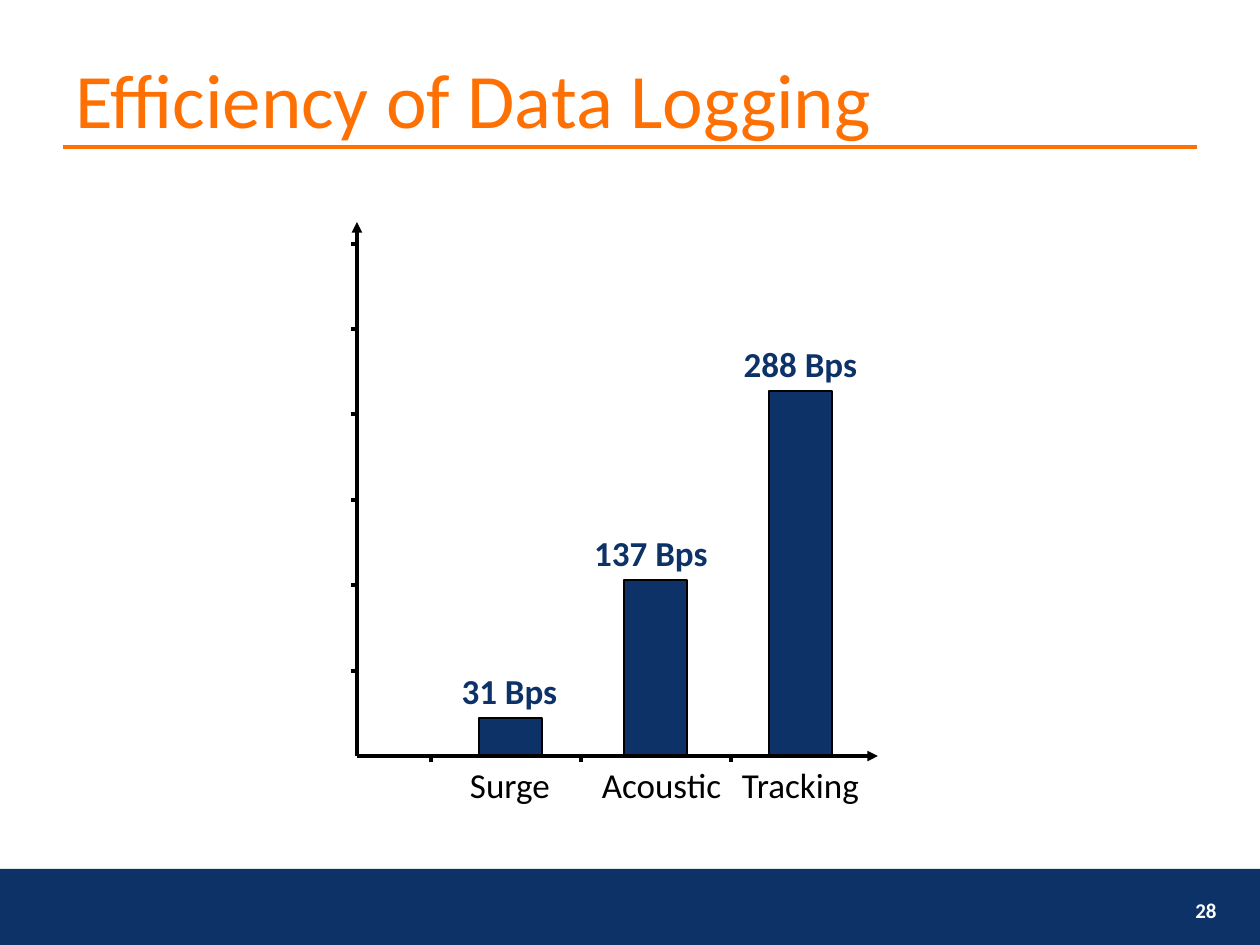
from dataclasses import dataclass

from lxml.etree import SubElement
from pptx import Presentation
from pptx.dml.color import RGBColor
from pptx.enum.shapes import MSO_CONNECTOR, MSO_SHAPE
from pptx.enum.text import MSO_ANCHOR as Anchor, PP_ALIGN as Align
from pptx.oxml.ns import qn
from pptx.util import Emu, Pt

PX = 914400 / 126  # EMU per pixel
WIDTH, HEIGHT = 1260, 945


@dataclass(frozen=True)
class Theme:
    font: str = "Calibri"
    navy: str = "0D3268"
    orange: str = "FF7003"
    black: str = "000000"
    white: str = "FFFFFF"
    title_size: int = 44
    label_size: int = 20
    number_size: int = 12
    line_width: float = 2
    bar_outline: float = 0.88


def px(*lengths):
    """Turn pixel lengths into EMU."""
    return [Emu(round(length * PX)) for length in lengths]


class SlideBuilder:
    def __init__(self, slide, theme):
        self.shapes = slide.shapes
        self.theme = theme

    def rectangle(self, left, top, width, height, outline=None):
        shape = self.shapes.add_shape(MSO_SHAPE.RECTANGLE, *px(left, top, width, height))
        shape.shadow.inherit = False
        shape.fill.solid()
        shape.fill.fore_color.rgb = RGBColor.from_string(self.theme.navy)
        if outline:
            shape.line.color.rgb = RGBColor.from_string(outline)
            shape.line.width = Pt(self.theme.bar_outline)
        else:
            shape.line.fill.background()

    def line(self, x1, y1, x2, y2, color, arrow=False):
        """Draw a straight line, with an arrowhead at its end if asked."""
        connector = self.shapes.add_connector(MSO_CONNECTOR.STRAIGHT, *px(x1, y1, x2, y2))
        connector.line.color.rgb = RGBColor.from_string(color)
        connector.line.width = Pt(self.theme.line_width)
        if arrow:
            SubElement(connector.line._get_or_add_ln(), qn("a:tailEnd"), type="triangle")
        SubElement(connector._element.spPr, qn("a:effectLst"))

    def text(self, words, left, top, width, height, size, color,
             bold=False, align=Align.CENTER, anchor=Anchor.TOP):
        frame = self.shapes.add_textbox(*px(left, top, width, height)).text_frame
        frame.word_wrap = True
        frame.vertical_anchor = anchor
        paragraph = frame.paragraphs[0]
        paragraph.alignment = align
        run = paragraph.add_run()
        run.text = words
        run.font.name = self.theme.font
        run.font.size = Pt(size)
        run.font.bold = bold
        run.font.color.rgb = RGBColor.from_string(color)


def draw_frame(builder):
    theme = builder.theme
    builder.rectangle(0, 869, WIDTH, 76)
    builder.line(63, 147, 1197, 147, theme.orange)
    builder.text("Efficiency of Data Logging", 63, 38, 1134, 120, theme.title_size,
                 theme.orange, align=Align.LEFT, anchor=Anchor.MIDDLE)
    builder.text("28", 935, 885, 294, 50, theme.number_size, theme.white,
                 bold=True, align=Align.RIGHT, anchor=Anchor.MIDDLE)


def draw_bar_graph(builder):
    theme = builder.theme
    origin_x, origin_y, tick = 357, 756, 6

    # Bar top, then text, left and width of the value and of the category
    bars = [
        (718, ("31 Bps", 437, 145), ("Surge", 421, 178)),
        (580, ("137 Bps ", 576, 158), ("Acoustic", 588, 147)),
        (391, ("288 Bps", 727, 147), ("Tracking", 725, 151)),
    ]
    for index, (top, value, category) in enumerate(bars):
        builder.rectangle(479 + 145 * index, top, 63, origin_y - top, theme.black)
        words, left, width = value
        builder.text(words, left, top - 55, width, 45, theme.label_size, theme.navy, bold=True)
        words, left, width = category
        builder.text(words, left, origin_y + 1, width, 65, theme.label_size, theme.black)

    builder.line(origin_x, origin_y, origin_x, 222, theme.black, arrow=True)
    builder.line(origin_x, origin_y, 878, origin_y, theme.black, arrow=True)
    for index in range(1, 7):
        y = round(origin_y - 85.4 * index)
        builder.line(origin_x - tick, y, origin_x, y, theme.black)
    for index in range(3):
        x = 431 + 150 * index
        builder.line(x, origin_y + tick, x, origin_y, theme.black)


def main():
    presentation = Presentation()
    presentation.slide_width, presentation.slide_height = px(WIDTH, HEIGHT)
    slide = presentation.slides.add_slide(presentation.slide_layouts[6])
    builder = SlideBuilder(slide, Theme())
    draw_frame(builder)
    draw_bar_graph(builder)
    presentation.save("out.pptx")


if __name__ == "__main__":
    main()
